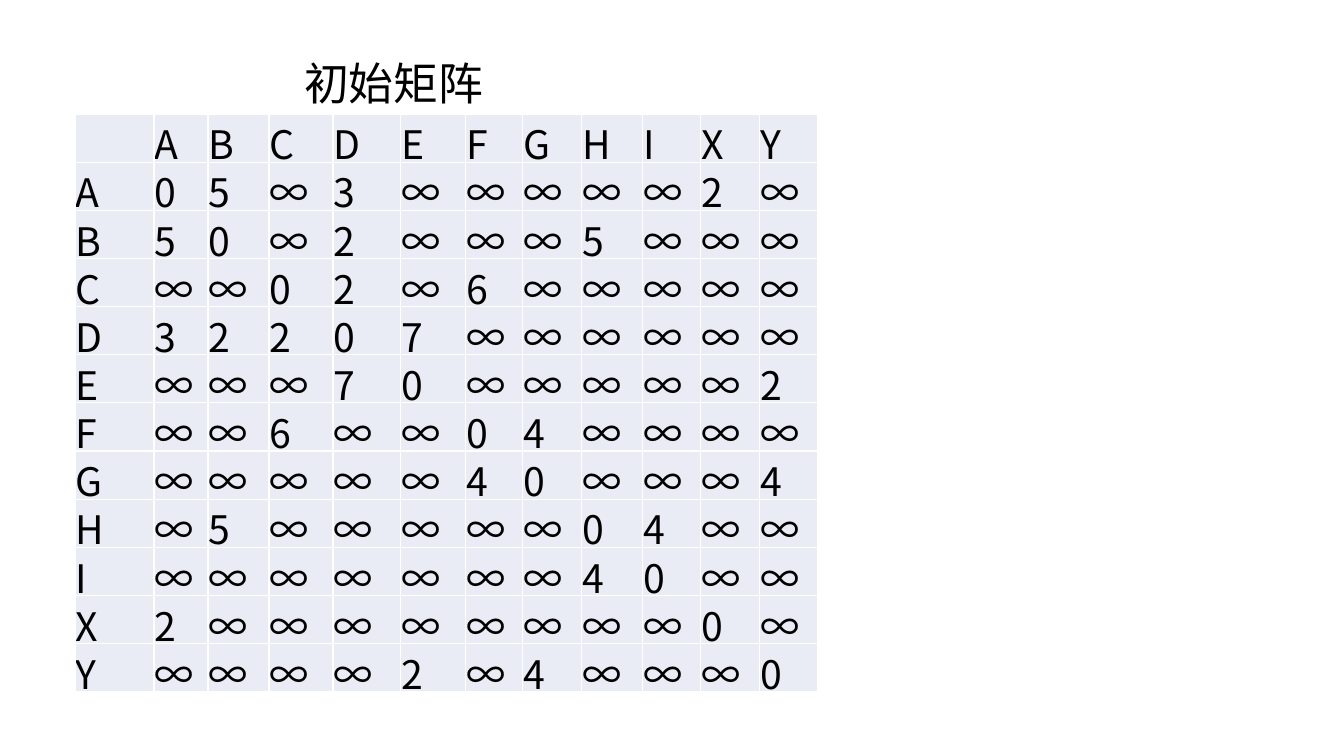
from lxml import etree
from pptx import Presentation
from pptx.dml.color import RGBColor
from pptx.enum.text import MSO_ANCHOR, PP_ALIGN
from pptx.oxml.ns import qn
from pptx.util import Emu, Pt

LEFT = PP_ALIGN.LEFT
MIDDLE, BOTTOM = MSO_ANCHOR.MIDDLE, MSO_ANCHOR.BOTTOM
TITLE_ONLY = 5

BLACK = RGBColor(0x00, 0x00, 0x00)
WHITE = RGBColor(0xFF, 0xFF, 0xFF)
PALE_BLUE = RGBColor(0xE9, 0xEB, 0xF5)
FONT = "Noto Sans CJK SC"

# Undirected graph: each edge is two nodes and their distance
NODES = "ABCDEFGHIXY"
EDGES = {"AB": 5, "AD": 3, "AX": 2, "BD": 2, "BH": 5, "CD": 2,
         "CF": 6, "DE": 7, "EY": 2, "FG": 4, "GY": 4, "HI": 4}
COLUMN_WIDTHS = [79, 54, 61, 64, 68, 65, 57, 59, 61, 58, 59, 58]
MATRIX_HEIGHT = 578


def px(count):
    return Emu(round(count * 914400 / 100.8))


def write(frame, text, size=28, line_spacing=None, color=BLACK):
    paragraph = frame.paragraphs[0]
    paragraph.alignment = LEFT
    paragraph.line_spacing = line_spacing
    run = paragraph.add_run()
    run.text = text
    font = run.font
    font.size, font.name, font.bold = Pt(size), FONT, False
    font.color.rgb = color
    east_asian = etree.SubElement(run._r.get_or_add_rPr(), qn("a:ea"))
    east_asian.set("typeface", FONT)


def add_title(slide, text, left, top, width, height):
    title = slide.shapes.title
    title.left, title.top = px(left), px(top)
    title.width, title.height = px(width), px(height)
    frame = title.text_frame
    frame.word_wrap = True
    frame.vertical_anchor = MIDDLE
    frame.margin_top = frame.margin_bottom = 0
    write(frame, text, size=32, line_spacing=1.0)


def set_borders(cell, color, width):
    properties = cell._tc.get_or_add_tcPr()
    for index, side in enumerate(("a:lnL", "a:lnR", "a:lnT", "a:lnB")):
        line = etree.Element(qn(side), w=str(Pt(width)))
        fill = etree.SubElement(line, qn("a:solidFill"))
        etree.SubElement(fill, qn("a:srgbClr"), val=str(color))
        properties.insert(index, line)


def distance(start, end):
    if start == end:
        return "0"
    return str(EDGES.get(min(start, end) + max(start, end), "∞"))


def add_matrix(slide, rows, left, top):
    graphic = slide.shapes.add_table(
        len(rows), len(COLUMN_WIDTHS), px(left), px(top),
        px(sum(COLUMN_WIDTHS)), px(MATRIX_HEIGHT))
    matrix = graphic.table
    matrix.first_row = matrix.horz_banding = False
    for column, width in zip(matrix.columns, COLUMN_WIDTHS):
        column.width = px(width)
    for row, values in zip(matrix.rows, rows):
        row.height = px(MATRIX_HEIGHT / len(rows))
        for cell, value in zip(row.cells, values):
            cell.fill.solid()
            cell.fill.fore_color.rgb = PALE_BLUE
            set_borders(cell, WHITE, 1)
            cell.vertical_anchor = BOTTOM
            cell.margin_left = cell.margin_right = cell.margin_top = px(1)
            # The font's deep descent may reach below the cell
            cell.margin_bottom = px(-9)
            if value:
                # Fixed spacing keeps the tall font inside its row
                write(cell.text_frame, value, line_spacing=Pt(33))


def main():
    presentation = Presentation()
    presentation.slide_width, presentation.slide_height = px(1344), px(756)
    slide = presentation.slides.add_slide(presentation.slide_layouts[TITLE_ONLY])

    # Heading
    add_title(slide, "初始矩阵", 294, 50, 582, 65)

    # Distance matrix with node names along the top and the left
    rows = [["", *NODES]]
    rows += [[start, *(distance(start, end) for end in NODES)] for start in NODES]
    add_matrix(slide, rows, 75, 114)

    presentation.save("out.pptx")


if __name__ == "__main__":
    main()
